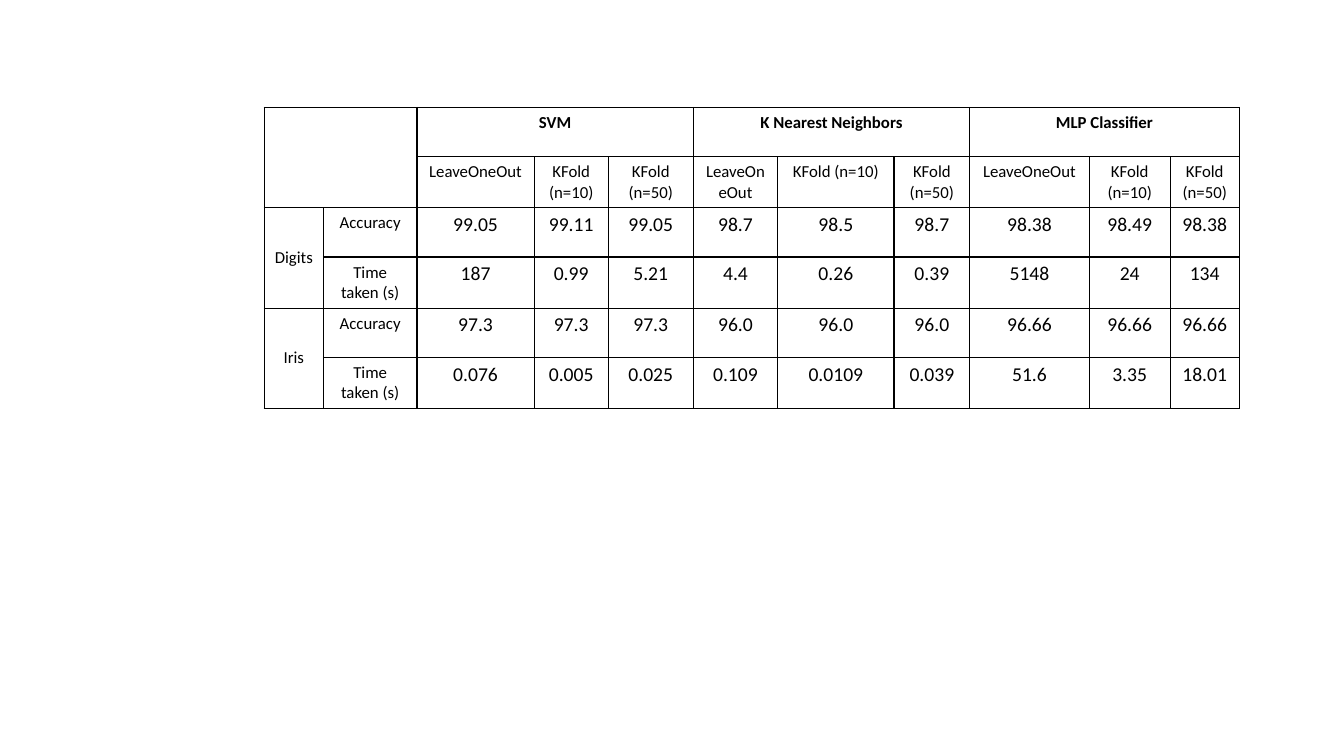
from dataclasses import dataclass

from lxml import etree
from pptx import Presentation
from pptx.dml.color import RGBColor
from pptx.enum.text import MSO_ANCHOR, PP_ALIGN
from pptx.oxml.ns import qn
from pptx.util import Cm, Pt

CENTER = PP_ALIGN.CENTER
TOP, MIDDLE = MSO_ANCHOR.TOP, MSO_ANCHOR.MIDDLE


@dataclass
class Theme:
    font: str = "Calibri"
    ink: str = "000000"
    label_size: int = 12
    value_size: int = 14
    border: int = 1


theme = Theme()

# Table content
classifiers = ["SVM", "K Nearest Neighbors", "MLP Classifier"]
validations = ["LeaveOneOut", "KFold (n=10)", "KFold (n=50)"]
measures = ["Accuracy", "Time taken (s)"]
results = {
    "Digits": [
        ["99.05", "99.11", "99.05", "98.7", "98.5", "98.7", "98.38", "98.49", "98.38"],
        ["187", "0.99", "5.21", "4.4", "0.26", "0.39", "5148", "24", "134"],
    ],
    "Iris": [
        ["97.3", "97.3", "97.3", "96.0", "96.0", "96.0", "96.66", "96.66", "96.66"],
        ["0.076", "0.005", "0.025", "0.109", "0.0109", "0.039", "51.6", "3.35", "18.01"],
    ],
}
column_widths = [1.49, 2.36, 2.95, 1.87, 2.14, 2.13, 2.93, 1.91, 3.01, 2.04, 1.74]
row_heights = [1.24, 1.27] * 3


def write(cell, text, size=theme.label_size, bold=False, anchor=TOP):
    cell.vertical_anchor = anchor
    para = cell.text_frame.paragraphs[0]
    para.alignment = CENTER
    span = para.add_run()
    span.text = text
    span.font.name = theme.font
    span.font.size = Pt(size)
    span.font.bold = bold
    span.font.color.rgb = RGBColor.from_string(theme.ink)


def add_borders(cell):
    properties = cell._tc.get_or_add_tcPr()
    for position, side in enumerate(["a:lnL", "a:lnR", "a:lnT", "a:lnB"]):
        line = etree.Element(qn(side), w=str(Pt(theme.border)))
        fill = etree.SubElement(line, qn("a:solidFill"))
        etree.SubElement(fill, qn("a:srgbClr"), val=theme.ink)
        properties.insert(position, line)


# Page
deck = Presentation()
deck.slide_width, deck.slide_height = Cm(33.87), Cm(19.05)
page = deck.slides.add_slide(deck.slide_layouts[6])

# Empty grid with plain cells and black borders
frame = page.shapes.add_table(
    len(row_heights), len(column_widths), Cm(6.66), Cm(2.71),
    Cm(sum(column_widths)), Cm(sum(row_heights)))
table = frame.table
table.first_row = table.horz_banding = False
for column, width in zip(table.columns, column_widths):
    column.width = Cm(width)
for row, height in zip(table.rows, row_heights):
    row.height = Cm(height)
for cell in table.iter_cells():
    cell.fill.background()
    add_borders(cell)

# Column headings: each classifier spans its validation methods
table.cell(0, 0).merge(table.cell(1, 1))
for group, classifier in enumerate(classifiers):
    first = 2 + group * len(validations)
    table.cell(0, first).merge(table.cell(0, first + len(validations) - 1))
    write(table.cell(0, first), classifier, bold=True)
    for offset, validation in enumerate(validations):
        write(table.cell(1, first + offset), validation)

# Results: each dataset spans its measures
for group, (dataset, rows) in enumerate(results.items()):
    first = 2 + group * len(measures)
    table.cell(first, 0).merge(table.cell(first + len(measures) - 1, 0))
    write(table.cell(first, 0), dataset, anchor=MIDDLE)
    for offset, (measure, values) in enumerate(zip(measures, rows)):
        write(table.cell(first + offset, 1), measure)
        for column, value in enumerate(values, start=2):
            write(table.cell(first + offset, column), value, size=theme.value_size)

deck.save("out.pptx")
